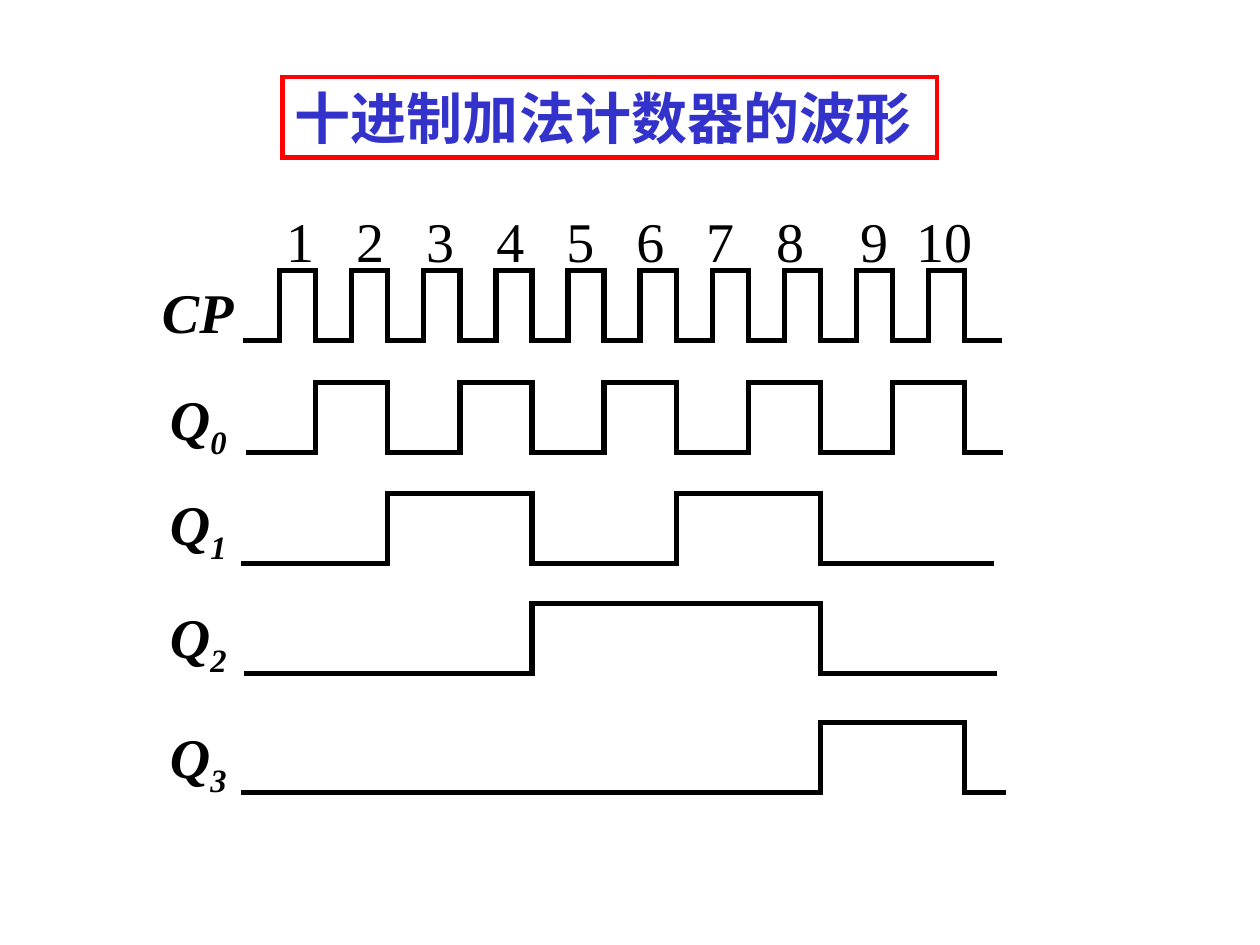
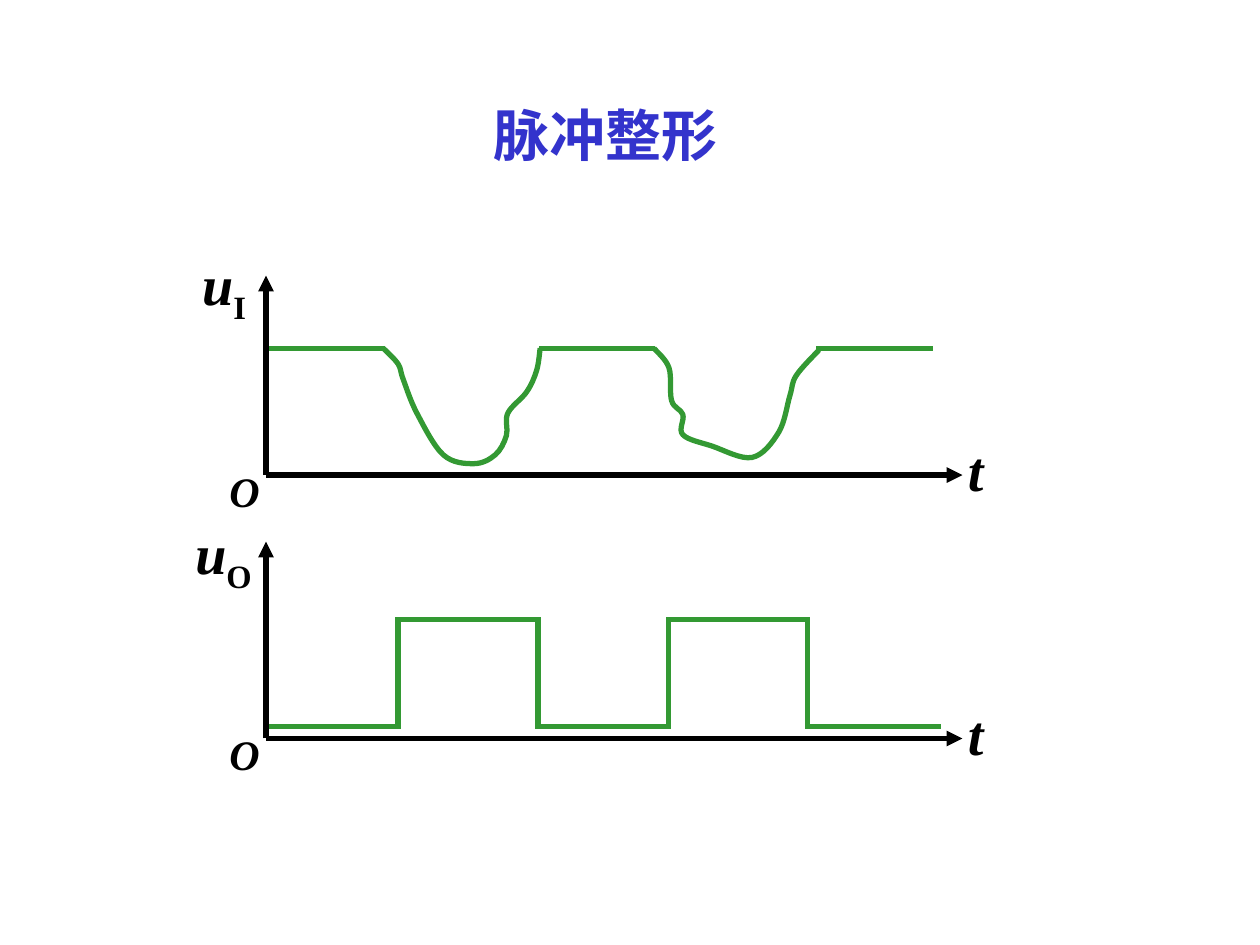
from lxml.etree import SubElement
from pptx import Presentation
from pptx.dml.color import RGBColor
from pptx.enum.shapes import MSO_CONNECTOR, MSO_SHAPE
from pptx.enum.text import PP_ALIGN
from pptx.oxml.ns import qn
from pptx.util import Pt

COLORS = {"ink": "000000", "title": "3333CC", "frame": "FF0000", "signal": "339933"}
FONT = "Times New Roman"
LINE_WIDTH = 3
BLANK_LAYOUT = 6

# Counter timing: clock edges are evenly spaced
FIRST_EDGE, HALF_PERIOD = 159.8, 20.6
SWING = 40


def color(name):
    return RGBColor.from_string(COLORS[name])


# Text
def prepare_text(shape, align=PP_ALIGN.LEFT):
    shape.text_frame.word_wrap = True
    paragraph = shape.text_frame.paragraphs[0]
    paragraph.alignment = align
    return paragraph


def add_run(paragraph, text, size=32, ink="ink", bold=True, italic=False, subscript=False):
    run = paragraph.add_run()
    run.text = text
    run.font.size = Pt(size)
    run.font.bold = bold
    run.font.italic = italic
    run.font.color.rgb = color(ink)
    run.font.name = FONT
    if subscript:
        run._r.get_or_add_rPr().set("baseline", "-25000")


def add_text_box(slide, left, top, width, height=46, align=PP_ALIGN.LEFT):
    box = slide.shapes.add_textbox(Pt(left), Pt(top), Pt(width), Pt(height))
    return prepare_text(box, align)


def add_symbol(slide, left, top, name, index="", size=32, italic_index=False):
    height = 51 if index else size * 1.2 + 7.2
    paragraph = add_text_box(slide, left, top, 64, height)
    add_run(paragraph, name, size, italic=True)
    if index:
        add_run(paragraph, index, size, italic=italic_index, subscript=True)


def add_pulse_numbers(slide):
    paragraph = add_text_box(slide, 148.5, 114.5, 462)
    tabs = SubElement(paragraph._p.get_or_add_pPr(), qn("a:tabLst"))
    positions = [8 + 40 * index for index in range(10)]
    positions[8] += 8
    for position in positions:
        tab = SubElement(tabs, qn("a:tab"))
        tab.set("pos", str(Pt(position)))
        tab.set("algn", "l")
    numbers = "".join(f"\t{number}" for number in range(1, 11))
    add_run(paragraph, numbers, bold=False)


# Lines
def add_line(slide, x1, y1, x2, y2, ink="ink", arrow=False):
    line = slide.shapes.add_connector(
        MSO_CONNECTOR.STRAIGHT, Pt(x1), Pt(y1), Pt(x2), Pt(y2))
    line.line.color.rgb = color(ink)
    line.line.width = Pt(LINE_WIDTH)
    if arrow:
        SubElement(line.line._get_or_add_ln(), qn("a:tailEnd")).set("type", "triangle")
    SubElement(line._element.spPr, qn("a:effectLst"))


def add_square_wave(slide, start, edges, end, low, high, ink="ink"):
    """Start at the low level and toggle at every edge."""
    stops = [start, *edges, end]
    for index, (left, right) in enumerate(zip(stops, stops[1:])):
        level = high if index % 2 else low
        add_line(slide, left, level, right, level, ink)
    overlap = LINE_WIDTH / 2
    for edge in edges:
        add_line(slide, edge, low + overlap, edge, high - overlap, ink)


def bend_segments(curve):
    """Turn the straight segments into Bezier curves through the same anchors."""
    outline = next(curve._element.iter(qn("a:path")))
    anchors = [(int(point.get("x")), int(point.get("y")))
               for point in outline.iter(qn("a:pt"))]
    for segment in outline.findall(qn("a:lnTo")):
        outline.remove(segment)
    padded = [anchors[0], *anchors, anchors[-1]]
    for before, start, end, after in zip(padded, padded[1:], padded[2:], padded[3:]):
        control_1 = [s + (e - b) / 6 for b, s, e in zip(before, start, end)]
        control_2 = [e - (a - s) / 6 for s, e, a in zip(start, end, after)]
        bezier = SubElement(outline, qn("a:cubicBezTo"))
        for x, y in (control_1, control_2, end):
            point = SubElement(bezier, qn("a:pt"))
            point.set("x", str(round(x)))
            point.set("y", str(round(y)))


def add_curve(slide, anchors, ink):
    points = [(Pt(x), Pt(y)) for x, y in anchors]
    builder = slide.shapes.build_freeform(*points[0])
    builder.add_line_segments(points[1:], close=False)
    curve = builder.convert_to_shape()
    bend_segments(curve)
    curve.fill.background()
    curve.line.color.rgb = color(ink)
    curve.line.width = Pt(LINE_WIDTH)
    curve.shadow.inherit = False


def add_axes(slide, baseline, top, index, label_left, label_top):
    add_line(slide, 152, baseline, 550, baseline, arrow=True)
    add_line(slide, 152, baseline, 152, top, arrow=True)
    add_symbol(slide, label_left, label_top, "u", index)
    add_symbol(slide, 546, baseline - 26, "t")
    add_symbol(slide, 124, baseline - 9, "O", size=24)


# Slides
def build_counter_slide(slide):
    frame = slide.shapes.add_shape(
        MSO_SHAPE.RECTANGLE, Pt(161.5), Pt(44), Pt(374), Pt(46))
    frame.fill.background()
    frame.line.color.rgb = color("frame")
    frame.line.width = Pt(2.5)
    SubElement(frame.line._get_or_add_ln(), qn("a:miter")).set("lim", "800000")
    frame.shadow.inherit = False
    add_run(prepare_text(frame), "十进制加法计数器的波形", ink="title")

    # Clock
    clock_edges = [FIRST_EDGE + HALF_PERIOD * index for index in range(20)]
    falling_edges = clock_edges[1::2]
    add_pulse_numbers(slide)
    add_symbol(slide, 85.5, 155, "CP")
    add_square_wave(slide, 139, clock_edges, 572.5, 194.5, 194.5 - SWING)

    # Outputs: label top, low level, start, end, pulses on which the bit toggles
    outputs = [
        (216, 258.5, 140.5, 573, range(1, 11)),
        (276, 322, 137.5, 568, (2, 4, 6, 8)),
        (341, 385, 139.5, 570, (4, 8)),
        (409.5, 453, 137.5, 575, (8, 10)),
    ]
    for bit, (label_top, low, start, end, pulses) in enumerate(outputs):
        add_symbol(slide, 90, label_top, "Q", str(bit), italic_index=True)
        edges = [falling_edges[pulse - 1] for pulse in pulses]
        add_square_wave(slide, start, edges, end, low, low - SWING)


def build_shaping_slide(slide):
    title = add_text_box(slide, 175, 54, 342, align=PP_ALIGN.CENTER)
    add_run(title, "脉冲整形", ink="title")
    add_axes(slide, 271.5, 157.5, "I", 108.5, 139)
    add_axes(slide, 422, 309.5, "O", 104.5, 292.5)

    # Distorted input
    for left, right in ((154, 220), (308, 374.5), (466.5, 533)):
        add_line(slide, left, 199, right, 199, "signal")
    first_dip = [
        (219, 199), (227.5, 208), (230.4, 216.7), (238.3, 236.2), (253.4, 260),
        (270.7, 265), (283, 260), (289.4, 249), (290.2, 236.2), (301, 224),
        (306.7, 211.7), (308.7, 199)]
    second_dip = [
        (373.7, 199), (382.3, 210.2), (383.8, 229), (390.2, 236.9), (390.2, 248.4),
        (406.8, 254.9), (429.8, 261.4), (445, 247), (451.4, 226), (455, 214.6),
        (468, 200)]
    for dip in (first_dip, second_dip):
        add_curve(slide, dip, "signal")

    # Shaped output
    add_square_wave(slide, 154, (227.5, 307.5, 382, 461.5), 538, 415, 354, "signal")


def main():
    presentation = Presentation()
    presentation.slide_width = Pt(720)
    presentation.slide_height = Pt(540)
    for build in (build_counter_slide, build_shaping_slide):
        build(presentation.slides.add_slide(presentation.slide_layouts[BLANK_LAYOUT]))
    presentation.save("out.pptx")


if __name__ == "__main__":
    main()
